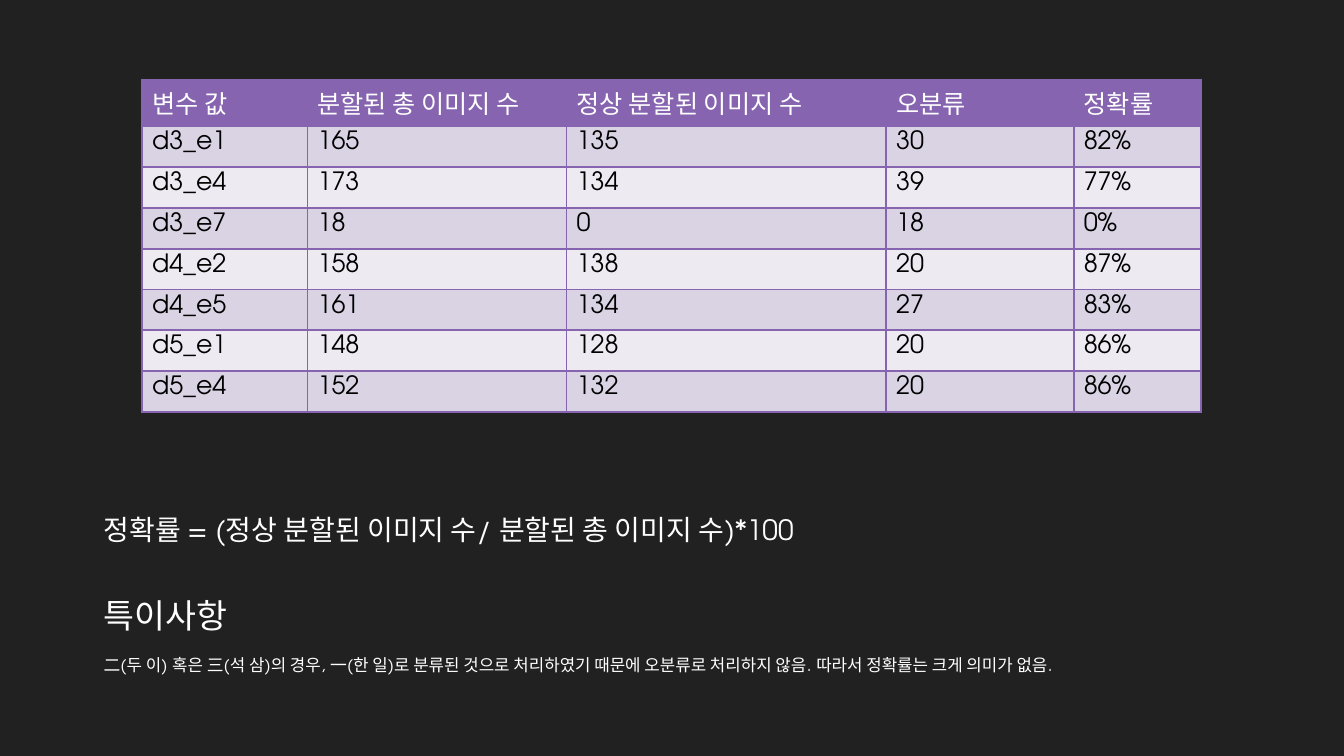
from pptx import Presentation
from pptx import util as u
from pptx.dml.color import RGBColor
from pptx.enum import text
from pptx.oxml import parse_xml
from pptx.oxml.ns import nsdecls

FONT = "TeX Gyre Adventor"
DARK = RGBColor(0x21, 0x21, 0x21)
PURPLE = RGBColor(0x86, 0x64, 0xB0)
BAND = RGBColor(0xD9, 0xD3, 0xE4)
PALE = RGBColor(0xED, 0xEA, 0xF2)
WHITE = RGBColor(0xFF, 0xFF, 0xFF)
SOFT = RGBColor(0xFE, 0xFE, 0xFE)
BLACK = RGBColor(0, 0, 0)

WIDTHS = [1.64, 2.57, 3.17, 1.86, 1.26]
HIGH = 3.24
ROWS = [
    ["변수 값", "분할된 총 이미지 수", "정상 분할된 이미지 수", "오분류", "정확률"],
    ["d3_e1", "165", "135", "30", "82%"],
    ["d3_e4", "173", "134", "39", "77%"],
    ["d3_e7", "18", "0", "18", "0%"],
    ["d4_e2", "158", "138", "20", "87%"],
    ["d4_e5", "161", "134", "27", "83%"],
    ["d5_e1", "148", "128", "20", "86%"],
    ["d5_e4", "152", "132", "20", "86%"],
]
MIDDLE, BOTTOM = text.MSO_ANCHOR.MIDDLE, text.MSO_ANCHOR.BOTTOM
NOTES = [
    (4.85, 0.62, "정확률 = (정상 분할된 이미지 수/ 분할된 총 이미지 수)*100",
     20, SOFT, BOTTOM),
    (5.73, 0.62, "특이사항", 24, SOFT, BOTTOM),
    (6.33, 0.54, "二(두 이) 혹은 三(석 삼)의 경우, 一(한 일)로 분류된 것으로 "
     "처리하였기 때문에 오분류로 처리하지 않음. 따라서 정확률는 크게 의미가 없음.",
     12, WHITE, MIDDLE),
]


def add_run(para, words, size, color, shade=False):
    """Add a run; shade puts a soft shadow behind its letters."""
    run = para.add_run()
    run.text = words
    run.font.size = u.Pt(size)
    run.font.bold = False
    run.font.color.rgb = color
    if shade:
        run._r.get_or_add_rPr().append(parse_xml(
            f'<a:effectLst {nsdecls("a")}>'
            '<a:outerShdw blurRad="50800" dist="38100" dir="2700000">'
            '<a:srgbClr val="000000"><a:alpha val="48000"/></a:srgbClr>'
            '</a:outerShdw></a:effectLst>'))
    run.font.name = FONT


def add_note(slide, top, high, words, size, color, anchor):
    box = slide.shapes.add_textbox(
        u.Inches(0.93), u.Inches(top), u.Inches(11.55), u.Inches(high))
    frame = box.text_frame
    frame.word_wrap = True
    frame.vertical_anchor = anchor
    add_run(frame.paragraphs[0], words, size, color, shade=True)


def add_edges(cell):
    props = cell._tc.get_or_add_tcPr()
    for side in "LRTB":
        props.append(parse_xml(
            f'<a:ln{side} {nsdecls("a")} w="{u.Pt(1.5)}"><a:solidFill>'
            f'<a:srgbClr val="{PURPLE}"/></a:solidFill></a:ln{side}>'))


def add_grid(slide):
    table = slide.shapes.add_table(
        len(ROWS), len(WIDTHS), u.Inches(1.41), u.Inches(0.79),
        u.Inches(sum(WIDTHS)), u.Inches(HIGH)).table
    table.first_row = table.horz_banding = False
    for col, width in zip(table.columns, WIDTHS):
        col.width = u.Inches(width)
    for i, row in enumerate(ROWS):
        table.rows[i].height = u.Inches(HIGH / len(ROWS))
        fill = PURPLE if i == 0 else BAND if i % 2 else PALE
        for j, words in enumerate(row):
            cell = table.cell(i, j)
            add_edges(cell)
            cell.fill.solid()
            cell.fill.fore_color.rgb = fill
            add_run(cell.text_frame.paragraphs[0], words, 18,
                    BLACK if i else WHITE)


def main():
    deck = Presentation()
    deck.slide_width, deck.slide_height = u.Inches(13.33), u.Inches(7.5)
    slide = deck.slides.add_slide(deck.slide_layouts[6])
    slide.background.fill.solid()
    slide.background.fill.fore_color.rgb = DARK
    add_grid(slide)
    for note in NOTES:
        add_note(slide, *note)
    deck.save("out.pptx")


if __name__ == "__main__":
    main()
